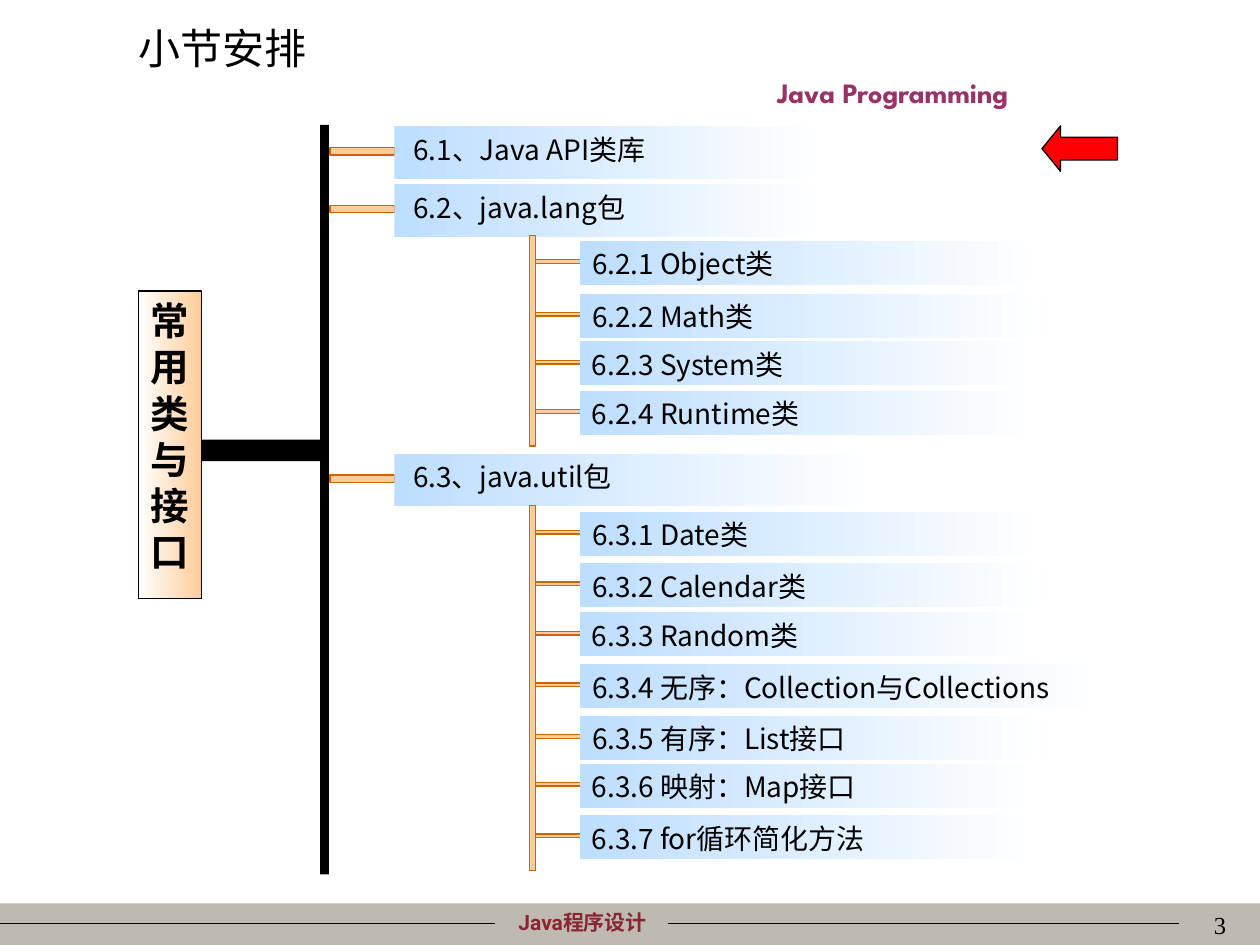
from lxml import etree
from pptx import Presentation
from pptx.dml.color import RGBColor
from pptx.enum.shapes import MSO_CONNECTOR as CONN, MSO_SHAPE as SHAPE
from pptx.enum.text import MSO_ANCHOR, PP_ALIGN as ALIGN
from pptx.oxml.ns import qn
from pptx.util import Inches, Pt

COLORS = {
    "black": "000000", "white": "FFFFFF", "footer": "BFBAB1",
    "course": "8C2532", "header": "993366", "arrow": "FF0000",
    "peach": "FFCC99", "rust": "CC6600", "sky": "BDDEFF",
}
CJK = "Noto Sans CJK SC"

TITLE = "小节安排"
CHAPTER = "常用类与接口"
# Section: text, top, width, subsections (text, top, width)
SECTIONS = [
    ("6.1、Java API类库", 1.0, 3.41, []),
    ("6.2、java.lang包", 1.46, 3.41, [
        ("6.2.1 Object类", 1.91, 3.65),
        ("6.2.2 Math类", 2.33, 3.69),
        ("6.2.3 System类", 2.71, 3.64),
        ("6.2.4 Runtime类", 3.1, 3.64),
    ]),
    ("6.3、java.util包", 3.6, 3.83, [
        ("6.3.1 Date类", 4.06, 3.65),
        ("6.3.2 Calendar类", 4.47, 3.69),
        ("6.3.3 Random类", 4.86, 3.64),
        ("6.3.4 无序：Collection与Collections", 5.27, 4.15),
        ("6.3.5 有序：List接口", 5.68, 3.69),
        ("6.3.6 映射：Map接口", 6.06, 3.64),
        ("6.3.7 for循环简化方法", 6.47, 3.64),
    ]),
]
SECTION_X, SECTION_H = 3.13, 0.42
SUB_X, SUB_H = 4.6, 0.35

prs = Presentation()
prs.slide_width, prs.slide_height = Inches(10), Inches(7.5)
s = prs.slides.add_slide(prs.slide_layouts[6])


def rgb(name):
    return RGBColor.from_string(COLORS[name])


def write(sp, text, size=16, font=CJK, color="black", bold=False,
          align=ALIGN.LEFT, wrap=True, left=0.1):
    tf = sp.text_frame
    tf.word_wrap = wrap
    tf.vertical_anchor = MSO_ANCHOR.TOP
    tf.margin_left = Inches(left)
    p = tf.paragraphs[0]
    p.alignment = align
    r = p.add_run()
    r.text = text
    r.font.size, r.font.name, r.font.bold = Pt(size), font, bold
    r.font.color.rgb = rgb(color)
    if font == CJK:
        etree.SubElement(r.font._element, qn("a:ea")).set("typeface", font)


def label(x, y, w, h, text, **fmt):
    write(s.shapes.add_textbox(*map(Inches, (x, y, w, h))), text, **fmt)


def box(x, y, w, h, *fills, line=None, kind=SHAPE.RECTANGLE):
    """Add a shape; two fill colours make a left-to-right gradient."""
    sp = s.shapes.add_shape(kind, *map(Inches, (x, y, w, h)))
    sp.shadow.inherit = False
    if len(fills) == 1:
        sp.fill.solid()
        sp.fill.fore_color.rgb = rgb(fills[0])
    else:
        sp.fill.gradient()
        sp.fill.gradient_angle = 0
        for stop, color in zip(sp.fill.gradient_stops, fills):
            stop.color.rgb = rgb(color)
    if line:
        sp.line.color.rgb = rgb(line)
        sp.line.width = Pt(0.75)
    else:
        sp.line.fill.background()
    return sp


def branch(x, y, w, h):
    box(x, y, w, h, "peach", line="rust")


# Footer and header
box(0, 7.17, 10, 0.33, "footer")
label(3.62, 7.17, 2.01, 0.3, "Java程序设计", size=12, font="Roboto",
      color="course", bold=True, align=ALIGN.CENTER)
for x1, x2 in [(0, 3.93), (5.3, 9.36)]:
    rule = s.shapes.add_connector(CONN.STRAIGHT, Inches(x1), Inches(7.33),
                                  Inches(x2), Inches(7.33))
    rule.line.color.rgb = rgb("black")
    rule.line.width = Pt(0.75)
    etree.SubElement(rule._element.spPr, qn("a:effectLst"))
label(7.75, 7.17, 2.08, 0.5, "3", size=14, font="Times New Roman",
      align=ALIGN.RIGHT)
label(5.08, 0.55, 4.01, 0.37, "Java Programming", size=16,
      font="League Spartan", color="header", bold=True, align=ALIGN.CENTER)
label(1, 0.13, 2.85, 0.5, TITLE, size=24)

# Chapter box and trunk
chapter = box(1.1, 2.31, 0.5, 2.44, "white", "peach", line="black")
write(chapter, CHAPTER, size=22, bold=True, align=ALIGN.CENTER)
box(1.6, 3.49, 1, 0.17, "black")
box(2.54, 0.99, 0.07, 5.95, "black")

# Sections, each with a spine for its subsections
for text, top, width, subs in SECTIONS:
    branch(2.62, top + 0.17, 0.51, 0.06)
    bar = box(SECTION_X, top, width, SECTION_H, "sky", "white")
    write(bar, text, wrap=False, left=0.15)
    for sub_text, sub_top, sub_width in subs:
        branch(4.22, sub_top + 0.15, 0.51, 0.03)
        bar = box(SUB_X, sub_top, sub_width, SUB_H, "sky", "white")
        write(bar, sub_text, wrap=False)
    if subs:
        spine_top = top + 0.41
        branch(4.2, spine_top, 0.05, subs[-1][1] + 0.44 - spine_top)

# Current section marker
arrow = box(8.27, 1, 0.6, 0.36, "arrow", line="black", kind=SHAPE.LEFT_ARROW)
arrow.adjustments[0], arrow.adjustments[1] = 0.5, 0.41

prs.save("out.pptx")
